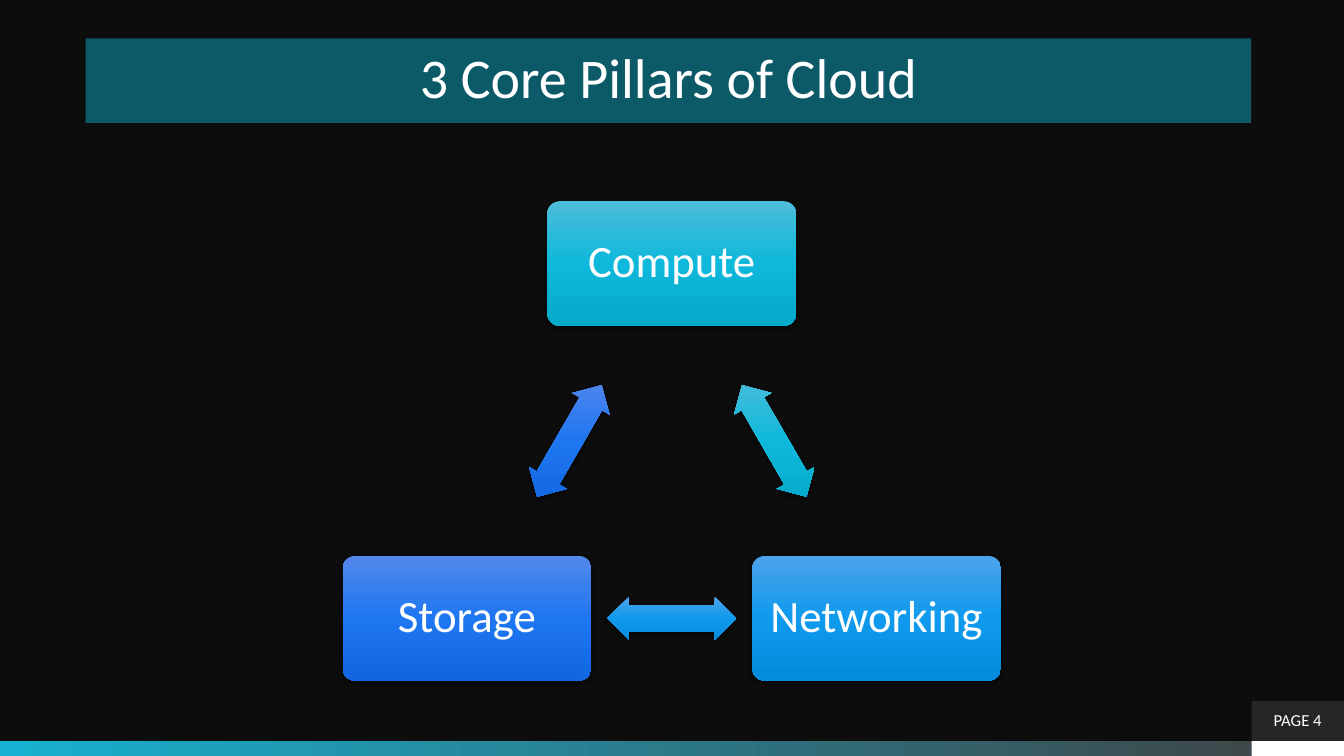
"""Build the slide that shows the three core pillars of cloud."""
from dataclasses import dataclass
from math import cos, radians, sin

from lxml import etree
from pptx import Presentation
from pptx.dml.color import RGBColor
from pptx.enum.shapes import MSO_SHAPE
from pptx.enum.text import MSO_ANCHOR, PP_ALIGN
from pptx.oxml.ns import qn
from pptx.util import Cm, Pt

RECTANGLE = MSO_SHAPE.RECTANGLE
ROUNDED = MSO_SHAPE.ROUNDED_RECTANGLE
DOUBLE_ARROW = MSO_SHAPE.LEFT_RIGHT_ARROW
CENTER = PP_ALIGN.CENTER
MIDDLE = MSO_ANCHOR.MIDDLE

PAGE_WIDTH, PAGE_HEIGHT = 33.87, 19.05
TAB_LEFT, TAB_WIDTH = 31.54, 2.33
BAR_TOP, BAR_HEIGHT = 18.67, 0.38
CYCLE_X, CYCLE_Y, CYCLE_RADIUS = 16.93, 12.6, 5.96
PILLAR_WIDTH, PILLAR_HEIGHT = 6.27, 3.14
ARROW_WIDTH, ARROW_HEIGHT = 3.25, 1.09


@dataclass(frozen=True)
class Theme:
    """Colours, type sizes and font of the slide."""
    font: str = "Calibri"
    page: str = "0D0D0D"
    text: str = "FFFFFF"
    title: str = "0C5968"
    tab: str = "262626"
    bar: tuple = ("17B2D1", "404040")
    cyan: tuple = ("4DBDDB", "0EB8DA", "04A9CA")
    sky: tuple = ("4DA3EA", "0F9AED", "048BDB")
    blue: tuple = ("5388EC", "1F76F1", "1167E0")
    title_size: int = 40
    pillar_size: int = 32
    tab_size: int = 12


THEME = Theme()
PILLARS = (("Compute", THEME.cyan), ("Networking", THEME.sky), ("Storage", THEME.blue))


def add_block(page, kind, left, top, width, height, color=None):
    """Add a preset shape without outline or shadow."""
    box = page.shapes.add_shape(kind, Cm(left), Cm(top), Cm(width), Cm(height))
    box.shadow.inherit = False
    box.line.fill.background()
    if color:
        box.fill.solid()
        box.fill.fore_color.rgb = RGBColor.from_string(color)
    return box


def set_gradient(box, colors, angle):
    """Fill a shape with evenly spaced colours that do not turn with it."""
    box.fill.gradient()
    gradient = box.fill._xPr.find(qn("a:gradFill"))
    gradient.set("rotWithShape", "0")
    for child in list(gradient):
        gradient.remove(child)
    stops = etree.SubElement(gradient, qn("a:gsLst"))
    for index, color in enumerate(colors):
        position = index * 100000 // (len(colors) - 1)
        stop = etree.SubElement(stops, qn("a:gs"), pos=str(position))
        etree.SubElement(stop, qn("a:srgbClr"), val=color)
    etree.SubElement(gradient, qn("a:lin"), ang=str(angle * 60000), scaled="0")


def add_shadow(box):
    """Give a shape a soft shadow just below it."""
    effects = box._element.spPr.find(qn("a:effectLst"))
    shadow = etree.SubElement(
        effects, qn("a:outerShdw"), blurRad=str(Pt(4.5)), dist=str(Pt(1.5)),
        dir="5400000", algn="ctr", rotWithShape="0")
    color = etree.SubElement(shadow, qn("a:srgbClr"), val="000000")
    etree.SubElement(color, qn("a:alpha"), val="63000")


def write_label(box, text, size, inset):
    """Write one centred line into a shape."""
    frame = box.text_frame
    frame.word_wrap = True
    frame.vertical_anchor = MIDDLE
    frame.margin_left = frame.margin_right = Cm(inset)
    frame.margin_top = frame.margin_bottom = Cm(inset)
    para = frame.paragraphs[0]
    para.alignment = CENTER
    para.line_spacing = 0.9
    span = para.add_run()
    span.text = text
    span.font.name = THEME.font
    span.font.size = Pt(size)
    span.font.color.rgb = RGBColor.from_string(THEME.text)


def add_cycle_part(page, kind, angle, radius, width, height, colors):
    """Add a shaded shape centred on the cycle, clockwise from the top."""
    x = CYCLE_X + radius * sin(radians(angle))
    y = CYCLE_Y - radius * cos(radians(angle))
    box = add_block(page, kind, x - width / 2, y - height / 2, width, height)
    set_gradient(box, colors, 90)
    add_shadow(box)
    return box


def add_pillar(page, text, angle, colors):
    """Add a pillar box with its name."""
    box = add_cycle_part(page, ROUNDED, angle, CYCLE_RADIUS,
                         PILLAR_WIDTH, PILLAR_HEIGHT, colors)
    box.adjustments[0] = 0.1
    write_label(box, text, THEME.pillar_size, 0.3)


def add_arrow(page, angle, colors):
    """Add the arrow halfway between two pillars."""
    arrow = add_cycle_part(page, DOUBLE_ARROW, angle, CYCLE_RADIUS / 2,
                           ARROW_WIDTH, ARROW_HEIGHT, colors)
    arrow.adjustments[0] = 0.6
    arrow.adjustments[1] = 0.5
    arrow.rotation = angle


def add_footer(page):
    """Add the bottom bar and the page tab."""
    bar = add_block(page, RECTANGLE, 0, BAR_TOP, PAGE_WIDTH, BAR_HEIGHT)
    set_gradient(bar, THEME.bar, 0)
    add_block(page, RECTANGLE, TAB_LEFT, BAR_TOP, TAB_WIDTH, BAR_HEIGHT, THEME.text)
    tab = add_block(page, RECTANGLE, TAB_LEFT, 17.67, TAB_WIDTH, 1, THEME.tab)
    write_label(tab, "PAGE 4", THEME.tab_size, 0.13)


def main():
    """Build and save the deck."""
    deck = Presentation()
    deck.slide_width, deck.slide_height = Cm(PAGE_WIDTH), Cm(PAGE_HEIGHT)
    page = deck.slides.add_slide(deck.slide_layouts[6])
    page.background.fill.solid()
    page.background.fill.fore_color.rgb = RGBColor.from_string(THEME.page)
    add_footer(page)
    title = add_block(page, RECTANGLE, 2.16, 0.97, 29.37, 2.13, THEME.title)
    write_label(title, "3 Core Pillars of Cloud", THEME.title_size, 0.25)
    step = 360 / len(PILLARS)
    for index, (name, colors) in enumerate(PILLARS):
        add_pillar(page, name, index * step, colors)
        add_arrow(page, (index + 0.5) * step, colors)
    deck.save("out.pptx")


if __name__ == "__main__":
    main()
